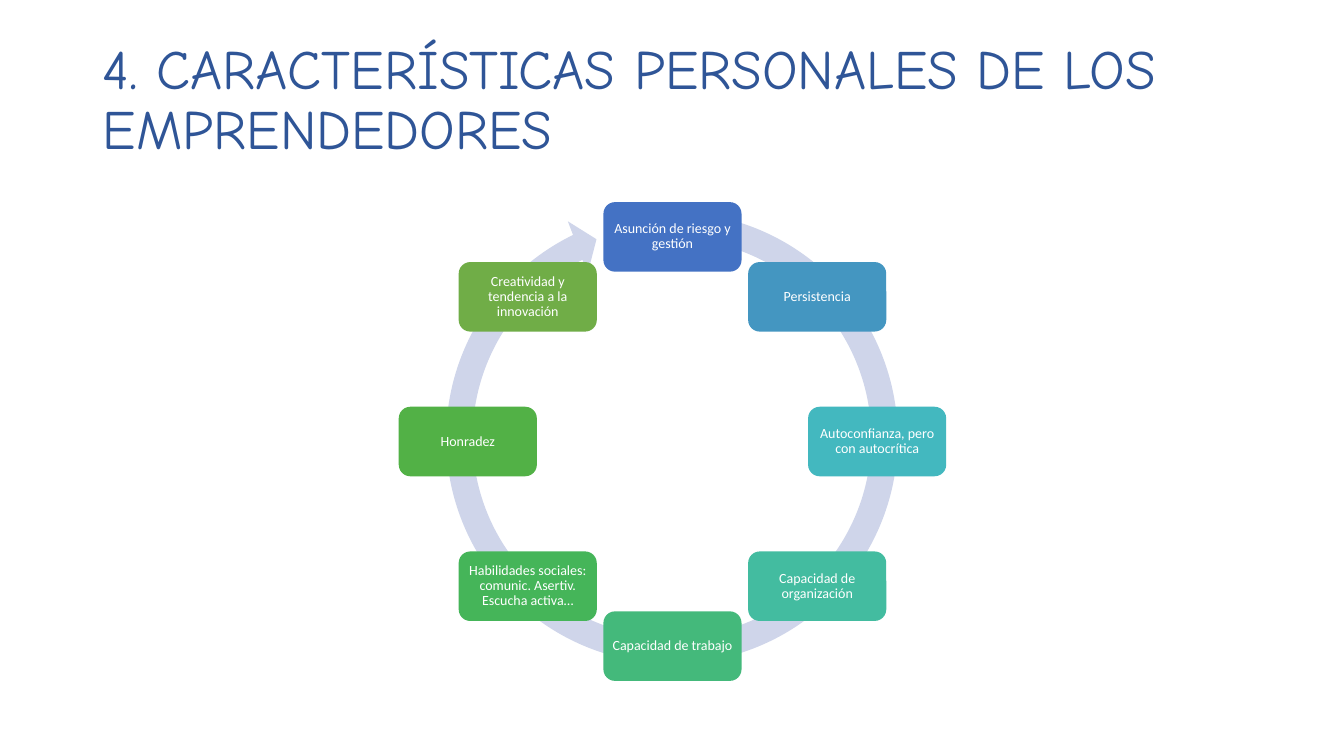
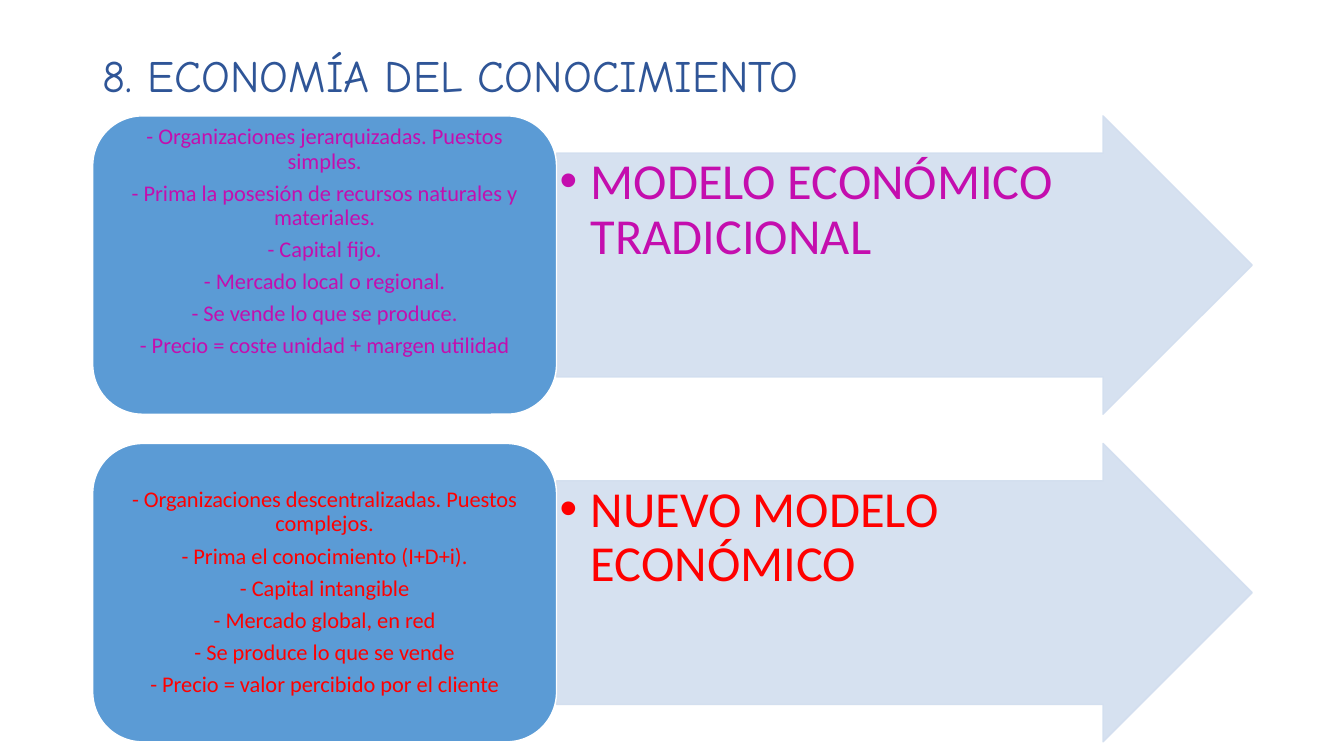
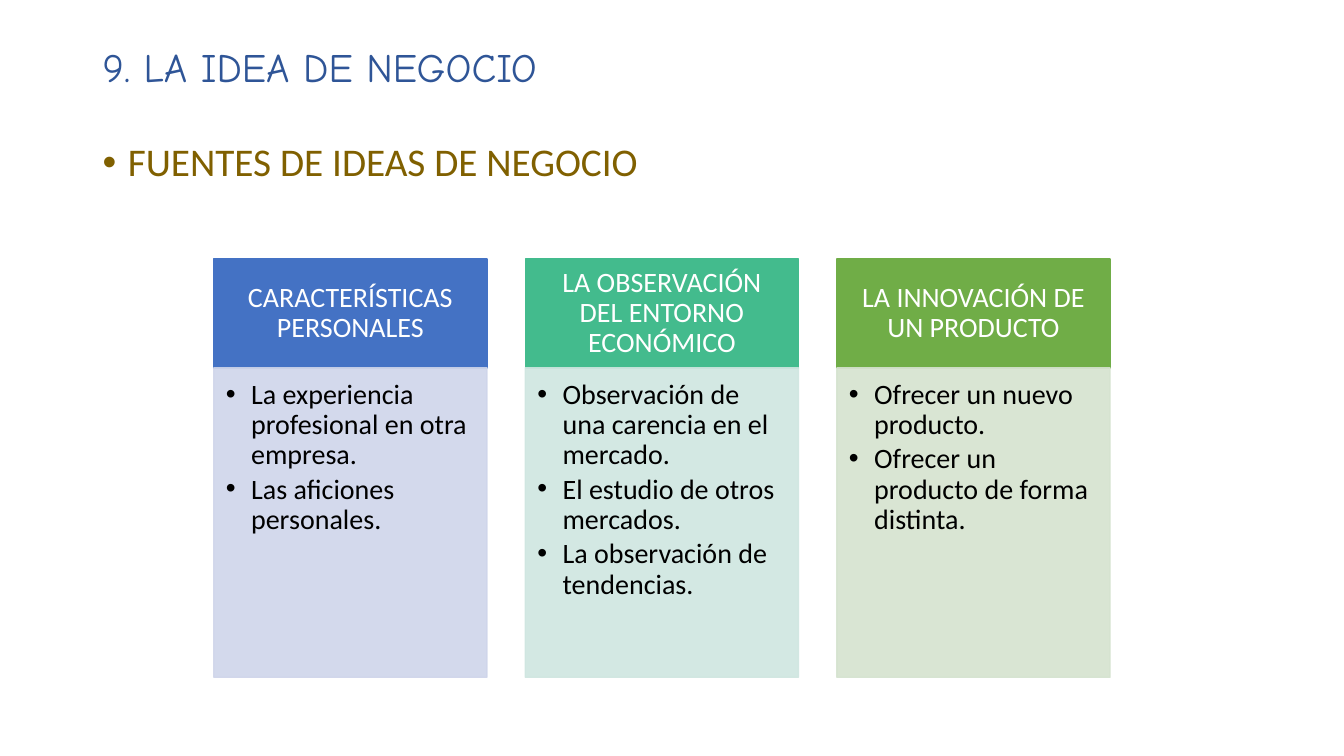
from dataclasses import dataclass
from math import cos, pi, sin

from lxml import etree
from pptx import Presentation
from pptx import util as u
from pptx.dml.color import RGBColor
from pptx.enum import shapes, text
from pptx.oxml.ns import qn


@dataclass(frozen=True)
class Theme:
    title_font: str = "Comic Neue"
    body_font: str = "Calibri"
    white: str = "FFFFFF"
    black: str = "000000"
    title: str = "2F5597"
    subtitle: str = "806000"
    blue: str = "4472C4"
    green: str = "70AD47"
    teal: str = "43BB8D"
    pale_blue: str = "CFD5EA"
    pale_teal: str = "CFE6E0"
    pale_green: str = "D5E3CF"
    panel: str = "5B9BD5"
    arrow: str = "D2DEEF"
    magenta: str = "C40EAE"
    red: str = "FF0000"
    cycle_size: float = 10
    panel_size: float = 16
    column_size: float = 20
    subtitle_size: float = 28
    model_size: float = 36
    line_spacing: float = 0.9
    opacity: int = 90


THEME = Theme()
LEFT, WIDTH = 0.92, 11.5  # shared content margins

TRAITS = [
    ("Asunción de riesgo y gestión", THEME.blue),
    ("Persistencia", "4496C1"),
    ("Autoconfianza, pero con autocrítica", "43B8BF"),
    ("Capacidad de organización", "43BCA0"),
    ("Capacidad de trabajo", "44B97B"),
    ("Habilidades sociales: comunic. Asertiv. Escucha activa…", "45B559"),
    ("Honradez", "52B146"),
    ("Creatividad y tendencia a la innovación", THEME.green),
]

# Name, colour, upward shift of the list, list
MODELS = [
    ("MODELO ECONÓMICO TRADICIONAL", THEME.magenta, 0.23, [
        "- Organizaciones jerarquizadas. Puestos simples.",
        "- Prima la posesión de recursos naturales y materiales.",
        "- Capital fijo.",
        "- Mercado local o regional.",
        "- Se vende lo que se produce.",
        "- Precio = coste unidad + margen utilidad",
    ]),
    ("NUEVO MODELO ECONÓMICO", THEME.red, 0, [
        "- Organizaciones descentralizadas. Puestos complejos.",
        "- Prima el conocimiento (I+D+i).",
        "- Capital intangible",
        "- Mercado global, en red",
        "- Se produce lo que se vende",
        "- Precio = valor percibido por el cliente",
    ]),
]

SOURCES = [
    ("CARACTERÍSTICAS PERSONALES", THEME.blue, THEME.pale_blue, [
        "La experiencia profesional en otra empresa.",
        "Las aficiones personales.",
    ]),
    ("LA OBSERVACIÓN DEL ENTORNO ECONÓMICO", THEME.teal, THEME.pale_teal, [
        "Observación de una carencia en el mercado.",
        "El estudio de otros mercados.",
        "La observación de tendencias.",
    ]),
    ("LA INNOVACIÓN DE UN PRODUCTO", THEME.green, THEME.pale_green, [
        "Ofrecer un nuevo producto.",
        "Ofrecer un producto de forma distinta.",
    ]),
]


# Text
def add_bullet(paragraph, indent):
    properties = paragraph._p.get_or_add_pPr()
    properties.set("marL", str(u.Inches(indent)))
    properties.set("indent", str(-u.Inches(indent)))
    etree.SubElement(properties, qn("a:buFont")).set("typeface", "Arial")
    etree.SubElement(properties, qn("a:buChar")).set("char", "•")


def write(shape, lines, size, color, font=THEME.body_font, centered=False,
          middle=False, insets=(0.1, 0.05, 0.1, 0.05), bullet=0, gap=0):
    """Fill a shape with paragraphs; gap is a share of the type size."""
    frame = shape.text_frame
    frame.word_wrap = True
    frame.vertical_anchor = text.MSO_ANCHOR.MIDDLE if middle else text.MSO_ANCHOR.TOP
    (frame.margin_left, frame.margin_top,
     frame.margin_right, frame.margin_bottom) = map(u.Inches, insets)
    for index, line in enumerate(lines):
        paragraph = frame.add_paragraph() if index else frame.paragraphs[0]
        paragraph.text = line
        paragraph.alignment = text.PP_ALIGN.CENTER if centered else text.PP_ALIGN.LEFT
        paragraph.line_spacing = THEME.line_spacing
        paragraph.space_after = u.Pt(size * gap)
        if bullet:
            add_bullet(paragraph, bullet)
        paragraph.font.size = u.Pt(size)
        paragraph.font.name = font
        paragraph.font.color.rgb = RGBColor.from_string(color)


def add_text(slide, box, lines, size, color, **style):
    shape = slide.shapes.add_textbox(*map(u.Inches, box))
    write(shape, lines, size, color, **style)


def add_title(slide, title, size, height):
    add_text(slide, (LEFT, 0.4, WIDTH, height), [title], size, THEME.title,
             font=THEME.title_font, middle=True)


# Shapes
def set_opacity(fill_format):
    for color in fill_format._xPr.iter(qn("a:srgbClr")):
        if color.find(qn("a:alpha")) is None:
            etree.SubElement(color, qn("a:alpha")).set("val", str(THEME.opacity * 1000))


def add_block(slide, kind, box, fill, line=None, translucent=False):
    shape = slide.shapes.add_shape(kind, *map(u.Inches, box))
    shape.shadow.inherit = False
    shape.fill.solid()
    shape.fill.fore_color.rgb = RGBColor.from_string(fill)
    if line:
        shape.line.color.rgb = RGBColor.from_string(line)
        shape.line.width = u.Pt(1)
    else:
        shape.line.fill.background()
    if translucent:
        set_opacity(shape.fill)
    return shape


# Slides
def build_traits(slide):
    add_title(slide, "4. CARACTERÍSTICAS PERSONALES DE LOS EMPRENDEDORES", 39.6, 1.21)
    center_x, center_y, radius = 6.67, 4.38, 2.03
    width, height, ring_size = 1.37, 0.69, 4.77
    ring = add_block(slide, shapes.MSO_SHAPE.CIRCULAR_ARROW,
                     (4.28, 1.96, ring_size, ring_size), THEME.pale_blue)
    for index, value in enumerate((0.055, 3.307, 146.219, 168.897, 0.058)):
        ring.adjustments[index] = value
    for index, (trait, color) in enumerate(TRAITS):
        angle = 2 * pi * index / len(TRAITS)
        box = (center_x + radius * sin(angle) - width / 2,
               center_y - radius * cos(angle) - height / 2, width, height)
        block = add_block(slide, shapes.MSO_SHAPE.ROUNDED_RECTANGLE, box, color)
        write(block, [trait], THEME.cycle_size, THEME.white, centered=True,
              middle=True, insets=(0.04,) * 4, gap=0.35)


def build_models(slide):
    add_title(slide, "8. ECONOMÍA DEL CONOCIMIENTO", 32, 0.75)
    panel_width, height, padding = 4.6, 2.96, 0.14
    for index, (name, color, rise, features) in enumerate(MODELS):
        top = 1.15 + 3.25 * index
        arrow = add_block(slide, shapes.MSO_SHAPE.RIGHT_ARROW,
                          (LEFT + panel_width, top, WIDTH - panel_width, height),
                          THEME.arrow, THEME.arrow, translucent=True)
        set_opacity(arrow.line.fill)
        arrow.adjustments[0] = 0.75
        write(arrow, [name], THEME.model_size, color, insets=(0.03,) * 4,
              bullet=0.31, gap=0.15)
        add_block(slide, shapes.MSO_SHAPE.ROUNDED_RECTANGLE,
                  (LEFT, top, panel_width, height), THEME.panel, THEME.white)
        add_text(slide, (LEFT + padding, top + padding - rise,
                         panel_width - 2 * padding, height - 2 * padding),
                 features, THEME.panel_size, color, centered=True, middle=True,
                 insets=(0.07, 0.03, 0.07, 0.03), gap=0.35)


def build_sources(slide):
    add_title(slide, "9. LA IDEA DE NEGOCIO", 28.8, 0.57)
    add_text(slide, (LEFT, 1.37, WIDTH, 0.6), ["FUENTES DE IDEAS DE NEGOCIO"],
             THEME.subtitle_size, THEME.subtitle, bullet=0.25)
    top, width, head_height, body_height = 2.57, 2.71, 1.08, 3.07
    for index, (heading, color, pale, ideas) in enumerate(SOURCES):
        left = 2.12 + 3.09 * index
        head = add_block(slide, shapes.MSO_SHAPE.RECTANGLE,
                         (left, top, width, head_height), color, color)
        write(head, [heading], THEME.column_size, THEME.white, centered=True,
              middle=True, insets=(0.16, 0.09, 0.16, 0.09), gap=0.35)
        body = add_block(slide, shapes.MSO_SHAPE.RECTANGLE,
                         (left, top + head_height, width, body_height),
                         pale, pale, translucent=True)
        set_opacity(body.line.fill)
        write(body, ideas, THEME.column_size, THEME.black,
              insets=(0.12, 0.12, 0.16, 0.17), bullet=0.25, gap=0.15)


def main():
    presentation = Presentation()
    presentation.slide_width = u.Inches(13.33)
    presentation.slide_height = u.Inches(7.5)
    blank = presentation.slide_layouts[6]
    for build in (build_traits, build_models, build_sources):
        build(presentation.slides.add_slide(blank))
    presentation.save("out.pptx")


if __name__ == "__main__":
    main()
